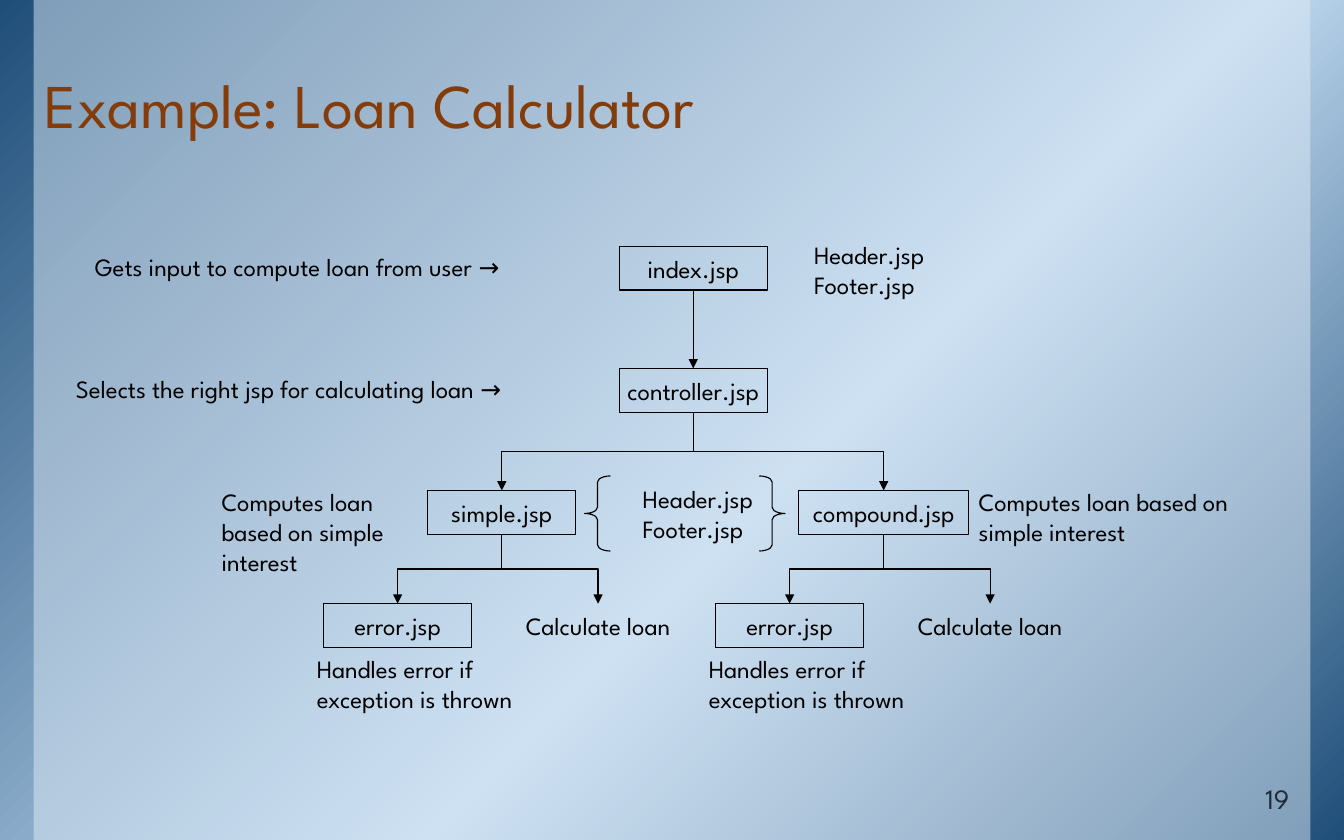
from copy import deepcopy
from dataclasses import dataclass

from lxml import etree
from pptx import Presentation
from pptx.dml.color import RGBColor
from pptx.enum.shapes import MSO_CONNECTOR, MSO_SHAPE
from pptx.enum.text import MSO_ANCHOR, MSO_AUTO_SIZE, PP_ALIGN
from pptx.oxml.ns import qn
from pptx.util import Inches, Pt

RECT, BRACE = MSO_SHAPE.RECTANGLE, MSO_SHAPE.LEFT_BRACE
LINE, ELBOW = MSO_CONNECTOR.STRAIGHT, MSO_CONNECTOR.ELBOW
TOP, MID, LOW = MSO_ANCHOR.TOP, MSO_ANCHOR.MIDDLE, MSO_ANCHOR.BOTTOM
LEFT, CENTER, RIGHT = PP_ALIGN.LEFT, PP_ALIGN.CENTER, PP_ALIGN.RIGHT
FIT, FIXED = MSO_AUTO_SIZE.SHAPE_TO_FIT_TEXT, MSO_AUTO_SIZE.NONE
COLS, ROWS = 120, 75


@dataclass(frozen=True)
class Theme:
    font: str = "League Spartan"
    ink: str = "000000"
    title: str = "843C0B"
    number: str = "222A35"
    panel: str = "DEEBF7"
    stops: tuple = ((0, "1F4E79"), (0.58, "BDD7EE"), (1, "1F4E79"))
    head: int = 40
    foot: int = 18
    body: int = 16
    stroke: float = 0.75


class Deck:
    def __init__(self, theme):
        self.theme = theme
        self.file = Presentation()
        self.file.slide_width, self.file.slide_height = Inches(12), Inches(7.5)
        self.slide = self.file.slides.add_slide(self.file.slide_layouts[6])
        self.shapes = self.slide.shapes

    def area(self, x, y, w, h):
        col = self.file.slide_width / COLS
        row = self.file.slide_height / ROWS
        return [round(n) for n in (x * col, y * row, w * col, h * row)]

    def stroke(self, item):
        item.line.color.rgb = RGBColor.from_string(self.theme.ink)
        item.line.width = Pt(self.theme.stroke)

    def shape(self, kind, *area):
        item = self.shapes.add_shape(kind, *self.area(*area))
        item.shadow.inherit = False
        item.fill.background()
        item.line.fill.background()
        return item

    def wash(self):
        fill = self.shape(RECT, 0, 0, COLS, ROWS).fill
        fill.gradient()
        fill.gradient_angle = 315
        last = fill.gradient_stops[1]._gs
        last.addnext(deepcopy(last))
        for stop, (at, tone) in zip(fill.gradient_stops, self.theme.stops):
            stop.position = at
            stop.color.rgb = RGBColor.from_string(tone)

    def panel(self, *area):
        item = self.shape(RECT, *area)
        item.fill.solid()
        item.fill.fore_color.rgb = RGBColor.from_string(self.theme.panel)
        tone = item._element.spPr.find(".//" + qn("a:srgbClr"))
        etree.SubElement(tone, qn("a:alpha"), val="50000")

    def words(self, item, lines, anchor=TOP, align=LEFT, wrap=True,
              size=None, tone=None):
        frame = item.text_frame
        frame.word_wrap, frame.vertical_anchor = wrap, anchor
        for i, line in enumerate(lines):
            para = frame.add_paragraph() if i else frame.paragraphs[0]
            para.alignment = align
            run = para.add_run()
            run.text = line
            run.font.name = self.theme.font
            run.font.size = Pt(size or self.theme.body)
            run.font.color.rgb = RGBColor.from_string(tone or self.theme.ink)
        return frame

    def text(self, area, *lines, fit=FIT, **style):
        item = self.shapes.add_textbox(*self.area(*area))
        self.words(item, lines, **style).auto_size = fit
        return item

    def label(self, area, line, **style):
        item = self.text(area, line, fit=FIXED, anchor=LOW, **style)
        frame = item.text_frame
        frame.margin_left = frame.margin_right = Inches(0.13)
        frame.margin_top = frame.margin_bottom = Inches(0.07)
        return frame

    def box(self, mid, top, name, wide=13.2):
        item = self.shape(RECT, mid - wide / 2, top, wide, 3.9)
        self.stroke(item)
        self.words(item, [name], anchor=MID, align=CENTER, wrap=False)
        return item

    def brace(self, area, flip=False):
        item = self.shape(BRACE, *area)
        item.adjustments[0] = 0.24
        item._element.spPr.xfrm.flipH = flip
        self.stroke(item)

    def arrow(self, start, end, kind=ELBOW):
        item = self.shapes.add_connector(kind, 0, 0, 0, 0)
        item.begin_connect(start, 2)
        item.end_connect(end, 0)
        if kind == ELBOW:
            self.turn(item)
        self.stroke(item)
        props = item._element.spPr
        etree.SubElement(props.find(qn("a:ln")), qn("a:tailEnd"),
                         type="triangle")
        etree.SubElement(props, qn("a:effectLst"))

    def turn(self, item):
        x, y, w, h = item.left, item.top, item.width, item.height
        right = item.end_x > item.begin_x
        form = item._element.spPr.xfrm
        form.flipH, form.flipV = right, False
        form.rot = 270 if right else 90
        item.left, item.top = x + (w - h) // 2, y + (h - w) // 2
        item.width, item.height = h, w


def branch(deck, root, err, calc):
    fail = deck.box(err, 53.9, "error.jsp")
    work = deck.text((calc - 6.6, 53.9, 13.2, 3.9), "Calculate loan",
                     fit=FIXED, anchor=MID, align=CENTER, wrap=False)
    deck.arrow(root, fail)
    deck.arrow(root, work)
    deck.text((err - 8.2, 57.9, 20.2, 9.1),
              "Handles error if exception is thrown")


def main():
    theme = Theme()
    deck = Deck(theme)
    deck.wash()
    deck.panel(3, 0, 114, ROWS)
    title = deck.label((2.7, 0.8, 113.6, 12.5), "Example: Loan Calculator",
                       size=theme.head, tone=theme.title)
    title.paragraphs[0].line_spacing = 0.85
    deck.label((105.5, 70, 10.9, 3.5), "19", align=RIGHT,
               size=theme.foot, tone=theme.number)

    index = deck.box(61.9, 22, "index.jsp")
    control = deck.box(61.9, 32.9, "controller.jsp")
    simple = deck.box(44.8, 43.8, "simple.jsp")
    compound = deck.box(78.9, 43.8, "compound.jsp", wide=15.2)
    deck.arrow(index, control, LINE)
    deck.arrow(control, simple)
    deck.arrow(control, compound)
    branch(deck, simple, 35.5, 53.4)
    branch(deck, compound, 70.5, 88.4)

    for x, y in ((71.7, 20.9), (56.4, 42.7)):
        deck.text((x, y, 13.7, 6.4), "Header.jsp", "Footer.jsp", wrap=False)
    deck.brace((52.2, 42.5, 2.3, 6.7))
    deck.brace((67.8, 42.5, 2.3, 6.7), flip=True)

    deck.text((7.5, 22, 47, 3.7), "Gets input to compute loan from user →")
    deck.text((5.8, 32.9, 48.7, 3.7),
              "Selects the right jsp for calculating loan →")
    for x, wide in ((18.8, 20.2), (86.4, 25.2)):
        deck.text((x, 43, wide, 9.1), "Computes loan based on simple interest")
    deck.file.save("out.pptx")


if __name__ == "__main__":
    main()
